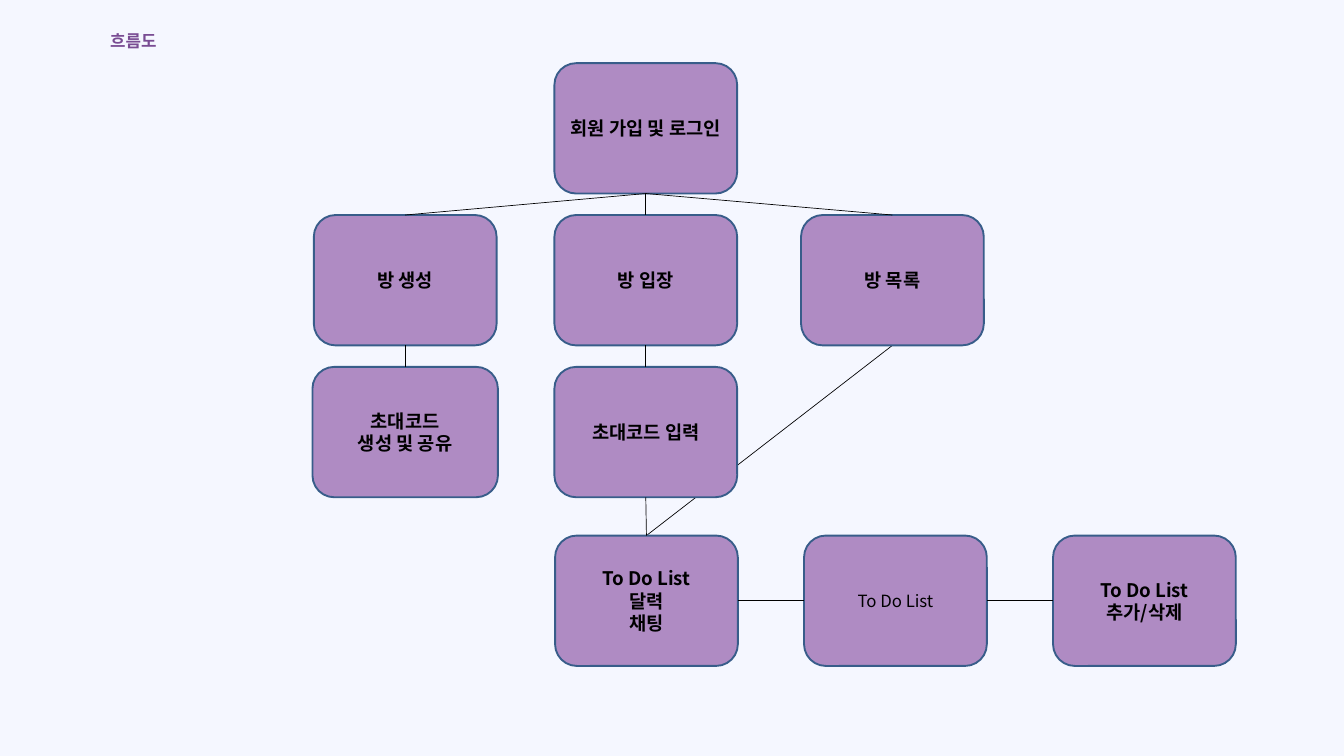
from dataclasses import dataclass

from lxml import etree
from pptx import Presentation
from pptx.dml.color import RGBColor
from pptx.enum.shapes import MSO_CONNECTOR, MSO_SHAPE
from pptx.enum.text import MSO_ANCHOR, MSO_AUTO_SIZE, PP_ALIGN
from pptx.oxml.ns import qn
from pptx.util import Inches, Pt

ROUNDED = MSO_SHAPE.ROUNDED_RECTANGLE
STRAIGHT = MSO_CONNECTOR.STRAIGHT
CENTER = PP_ALIGN.CENTER
MIDDLE = MSO_ANCHOR.MIDDLE
NO_AUTOFIT = MSO_AUTO_SIZE.NONE
TITLE_ONLY = 5
# Connection sites of a rounded rectangle
TOP, LEFT, BOTTOM, RIGHT = range(4)


@dataclass(frozen=True)
class Theme:
    font: str = "Noto Sans CJK KR"
    background: RGBColor = RGBColor(0xF5, 0xF7, 0xFF)
    title: RGBColor = RGBColor(0x79, 0x4C, 0x93)
    node: RGBColor = RGBColor(0xAF, 0x8B, 0xC3)
    border: RGBColor = RGBColor(0x38, 0x5D, 0x8A)
    ink: RGBColor = RGBColor(0, 0, 0)
    title_size: int = 18
    node_size: int = 20
    plain_size: int = 18
    border_width: float = 2
    link_width: float = 0.75


THEME = Theme()
NODE_WIDTH, NODE_HEIGHT = 2.72, 1.94
ROW_TOP, ROW_STEP = 0.94, 2.26
ROWS = [ROW_TOP + ROW_STEP * row for row in range(3)]
MAIN_LEFT = 8.25
SCREEN_LEFT, SCREEN_TOP, SCREEN_STEP = 8.26, 7.97, 3.705

# name: (lines, left, top, width, bold)
NODES = {
    "login": (["회원 가입 및 로그인"], MAIN_LEFT, ROWS[0], NODE_WIDTH, True),
    "create": (["방 생성"], 4.67, ROWS[1], NODE_WIDTH, True),
    "enter": (["방 입장"], MAIN_LEFT, ROWS[1], NODE_WIDTH, True),
    "rooms": (["방 목록"], 11.92, ROWS[1], NODE_WIDTH, True),
    "share": (["초대코드", "생성 및 공유"], 4.65, ROWS[2], 2.76, True),
    "code": (["초대코드 입력"], MAIN_LEFT, ROWS[2], NODE_WIDTH, True),
}
SCREENS = [
    ("home", ["To Do List", "달력", "채팅"], True),
    ("list", ["To Do List"], False),
    ("edit", ["To Do List", "추가/삭제"], True),
]
for column, (name, lines, bold) in enumerate(SCREENS):
    NODES[name] = (lines, SCREEN_LEFT + SCREEN_STEP * column, SCREEN_TOP, NODE_WIDTH, bold)

DOWN_LINKS = [("login", "create"), ("login", "enter"), ("login", "rooms"),
              ("create", "share"), ("enter", "code"), ("code", "home")]
ACROSS_LINKS = [("home", "list"), ("list", "edit")]


def set_values(target, values):
    for attribute, value in values.items():
        setattr(target, attribute, value)


def write_text(shape, lines, size, color, bold):
    frame = shape.text_frame
    set_values(frame, {
        "word_wrap": True, "auto_size": NO_AUTOFIT, "vertical_anchor": MIDDLE,
        "margin_left": Inches(0.1), "margin_right": Inches(0.1),
        "margin_top": Inches(0.05), "margin_bottom": Inches(0.05),
    })
    frame.text = "\n".join(lines)
    for paragraph in frame.paragraphs:
        paragraph.alignment = CENTER
        for run in paragraph.runs:
            set_values(run.font, {"name": THEME.font, "size": Pt(size), "bold": bold})
            run.font.color.rgb = color
            # Hangul takes the East Asian font
            east_asian = etree.SubElement(run.font._element, qn("a:ea"))
            east_asian.set("typeface", THEME.font)


def add_title(slide, left, top, width, height):
    title = slide.shapes.title
    set_values(title, {"left": Inches(left), "top": Inches(top),
                       "width": Inches(width), "height": Inches(height)})
    write_text(title, ["흐름도"], THEME.title_size, THEME.title, True)


def add_node(slide, lines, left, top, width, bold):
    node = slide.shapes.add_shape(ROUNDED, Inches(left), Inches(top),
                                  Inches(width), Inches(NODE_HEIGHT))
    node.shadow.inherit = False
    node.fill.solid()
    node.fill.fore_color.rgb = THEME.node
    node.line.color.rgb = THEME.border
    node.line.width = Pt(THEME.border_width)
    size = THEME.node_size if bold else THEME.plain_size
    write_text(node, lines, size, THEME.ink, bold)
    return node


def add_link(slide, start, start_site, end, end_site):
    link = slide.shapes.add_connector(STRAIGHT, 0, 0, 0, 0)
    link.begin_connect(start, start_site)
    link.end_connect(end, end_site)
    link.line.color.rgb = THEME.ink
    link.line.width = Pt(THEME.link_width)
    etree.SubElement(link._element.spPr, qn("a:effectLst"))
    return link


def add_flow(slide):
    nodes = {name: add_node(slide, *values) for name, values in NODES.items()}
    for start, end in DOWN_LINKS:
        add_link(slide, nodes[start], BOTTOM, nodes[end], TOP)
    for start, end in ACROSS_LINKS:
        add_link(slide, nodes[start], RIGHT, nodes[end], LEFT)
    # The long diagonal runs behind the nodes
    diagonal = add_link(slide, nodes["rooms"], BOTTOM, nodes["home"], TOP)
    slide.shapes.title._element.addprevious(diagonal._element)


def main():
    presentation = Presentation()
    presentation.slide_width = Inches(20)
    presentation.slide_height = Inches(11.25)
    slide = presentation.slides.add_slide(presentation.slide_layouts[TITLE_ONLY])
    slide.background.fill.solid()
    slide.background.fill.fore_color.rgb = THEME.background
    add_title(slide, 0.79, 0.35, 2.39, 0.5)
    add_flow(slide)
    presentation.save("out.pptx")


if __name__ == "__main__":
    main()
